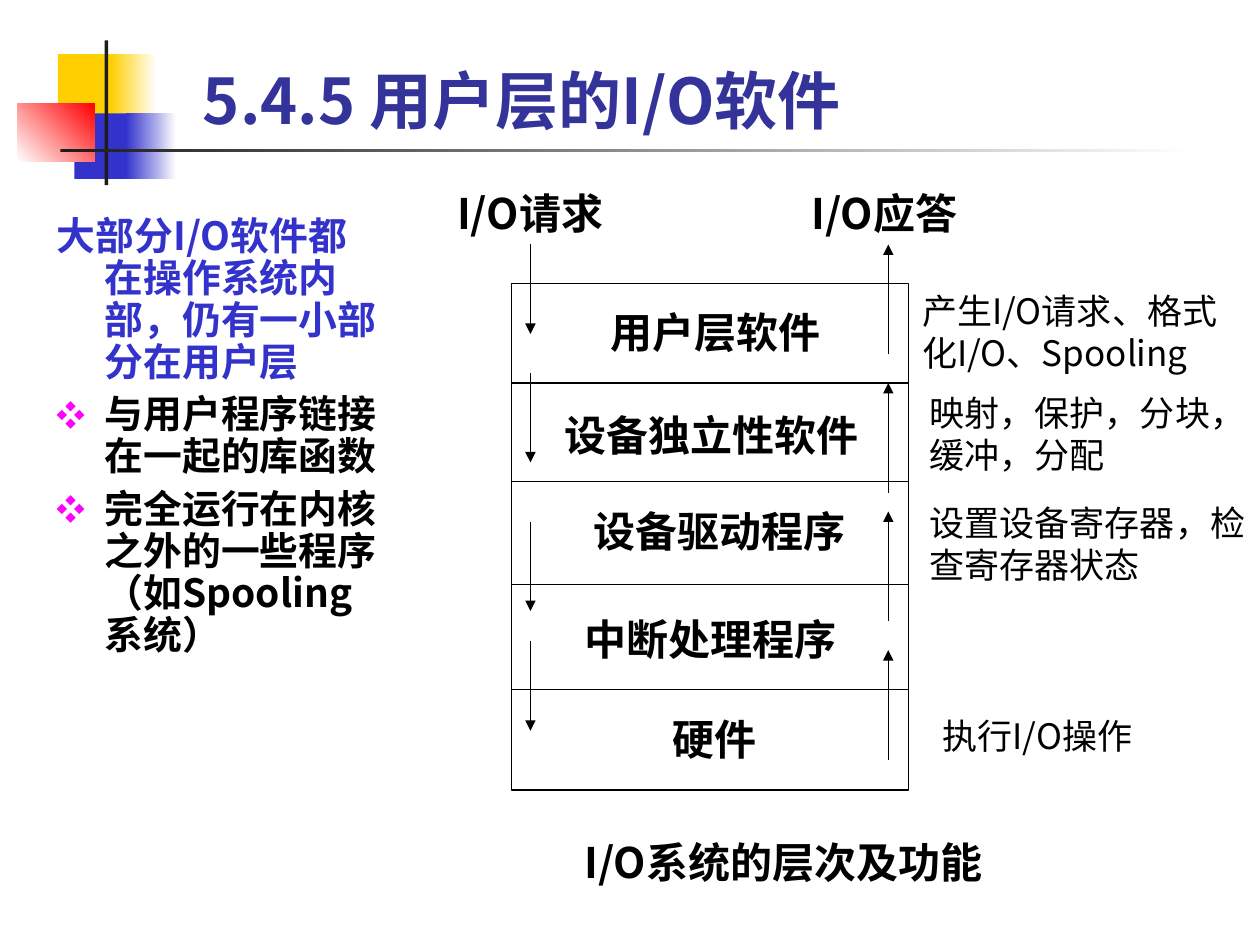
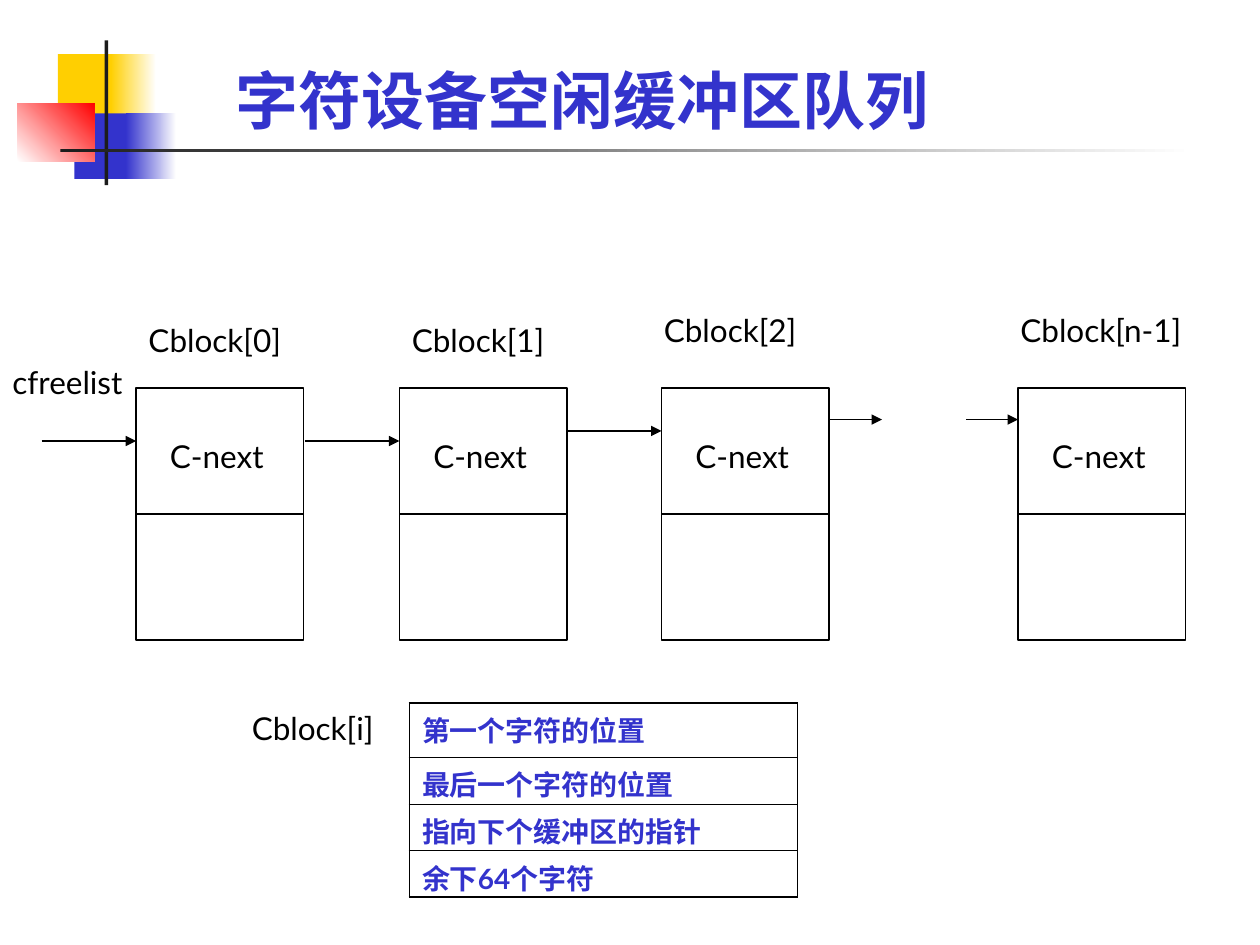
"""Build two slides on user-level I/O software and the character buffer free list."""
import pptx
import pptx.dml.color
import pptx.enum.shapes
import pptx.enum.text
import pptx.oxml
import pptx.oxml.ns
import pptx.util
from lxml import etree

Inches = pptx.util.Inches
Pt = pptx.util.Pt
qn = pptx.oxml.ns.qn
rgb = pptx.dml.color.RGBColor.from_string
SHAPES = pptx.enum.shapes.MSO_SHAPE
AUTO_SIZE = pptx.enum.text.MSO_AUTO_SIZE
CJK = "Noto Sans CJK SC"
LATIN = "Lato"
BLACK, WHITE, BLUE, TITLE_BLUE = "000000", "FFFFFF", "3333CC", "333399"
YELLOW, RED, DARK, MAGENTA = "FFCF01", "FF0000", "1C1C1C", "FF00FF"


def style(frame, size, font=CJK, color=BLACK, bold=False, wrap=False):
    """Give all paragraphs of a text frame one left-aligned style."""
    frame.word_wrap = wrap
    frame.auto_size = AUTO_SIZE.NONE if wrap else AUTO_SIZE.SHAPE_TO_FIT_TEXT
    for paragraph in frame.paragraphs:
        paragraph.alignment = pptx.enum.text.PP_ALIGN.LEFT
        paragraph.font.size = Pt(size)
        paragraph.font.bold = bold
        paragraph.font.color.rgb = rgb(color)
        paragraph.font.name = font
        properties = paragraph._p.pPr.find(qn("a:defRPr"))
        etree.SubElement(properties, qn("a:ea"), typeface=CJK)


def add_line(slide, x1, y1, x2, y2, arrow=False):
    """Draw a thin black line, with an arrowhead at its end if wanted."""
    line = slide.shapes.add_connector(
        pptx.enum.shapes.MSO_CONNECTOR.STRAIGHT,
        Inches(x1), Inches(y1), Inches(x2), Inches(y2))
    line.line.color.rgb = rgb(BLACK)
    line.line.width = Pt(0.75)
    properties = line._element.spPr
    if arrow:
        etree.SubElement(properties.find(qn("a:ln")), qn("a:tailEnd"), type="triangle")
    etree.SubElement(properties, qn("a:effectLst"))


presentation = pptx.Presentation()
presentation.slide_width = Inches(10)
presentation.slide_height = Inches(7.5)
layers_slide = presentation.slides.add_slide(presentation.slide_layouts[1])
queue_slide = presentation.slides.add_slide(presentation.slide_layouts[5])

ornaments = [
    (0.46, 0.43, 0.48, 0.52, YELLOW, None, 0),
    (0.88, 0.43, 0.36, 0.52, YELLOW, WHITE, 0),
    (0.59, 0.9, 0.46, 0.52, BLUE, None, 0),
    (1, 0.9, 0.4, 0.52, BLUE, WHITE, 0),
    (0.14, 0.82, 0.61, 0.46, WHITE, RED, 45),
    (0.83, 0.32, 0.03, 1.15, DARK, None, 0),
    (0.48, 1.18, 9, 0.03, DARK, WHITE, 0),
]
titles = [
    (layers_slide, "5.4.5 用户层的I/O软件", 1.51, 7.74, TITLE_BLUE),
    (queue_slide, "字符设备空闲缓冲区队列", 1.77, 5.74, BLUE),
]
for slide, text, title_left, title_width, color in titles:
    for left, top, width, height, start, end, angle in ornaments:
        shape = slide.shapes.add_shape(
            SHAPES.RECTANGLE, Inches(left), Inches(top), Inches(width), Inches(height))
        shape.shadow.inherit = False
        shape.line.fill.background()
        if end:
            shape.fill.gradient()
            shape.fill.gradient_angle = angle
            for stop, stop_color in zip(shape.fill.gradient_stops, (start, end)):
                stop.color.rgb = rgb(stop_color)
        else:
            shape.fill.solid()
            shape.fill.fore_color.rgb = rgb(start)
    title = slide.shapes.title
    title.left, title.top = Inches(title_left), Inches(0.36)
    title.width, title.height = Inches(title_width), Inches(0.78)
    title.text_frame.text = text
    title.text_frame.vertical_anchor = pptx.enum.text.MSO_ANCHOR.BOTTOM
    style(title.text_frame, 36, color=color, bold=True, wrap=True)

body = layers_slide.placeholders[1]
body.left, body.top = Inches(0.35), Inches(1.67)
body.width, body.height = Inches(2.76), Inches(5.31)
points = [
    "大部分I/O软件都在操作系统内部，仍有一小部分在用户层",
    "与用户程序链接在一起的库函数",
    "完全运行在内核之外的一些程序（如Spooling系统）",
]
body.text_frame.text = "\n".join(points)
for index, paragraph in enumerate(body.text_frame.paragraphs):
    properties = paragraph._p.get_or_add_pPr()
    properties.set("marL", str(Inches(0.38)))
    properties.set("indent", str(-Inches(0.38)))
    properties.set("hangingPunct", "0")
    paragraph.line_spacing = 0.9
    paragraph.space_before = Pt(6 if index else 0)
    if index:
        bullet_color = etree.SubElement(properties, qn("a:buClr"))
        etree.SubElement(bullet_color, qn("a:srgbClr"), val=MAGENTA)
        etree.SubElement(properties, qn("a:buSzPct"), val="75000")
        etree.SubElement(properties, qn("a:buFont"), typeface=CJK)
        etree.SubElement(properties, qn("a:buChar"), char="❖")
    else:
        etree.SubElement(properties, qn("a:buNone"))
style(body.text_frame, 22.2, bold=True, wrap=True)
body.text_frame.paragraphs[0].font.color.rgb = rgb(BLUE)

stack = layers_slide.shapes.add_shape(
    SHAPES.RECTANGLE, Inches(4.06), Inches(2.25), Inches(3.15), Inches(4.02))
stack.shadow.inherit = False
stack.fill.background()
stack.line.color.rgb = rgb(BLACK)
stack.line.width = Pt(0.75)
for y in (3.04, 3.82, 4.64, 5.47):
    add_line(layers_slide, 4.06, y, 7.21, y)
for y in (1.94, 2.96, 4.14, 5.09):
    add_line(layers_slide, 4.21, y, 4.21, y + 0.71, arrow=True)
for y in (6.03, 4.93, 3.91, 2.81):
    add_line(layers_slide, 7.05, y, 7.05, y - 0.87, arrow=True)

headings = [
    (4.75, 2.38, 1.9, "用户层软件", LATIN),
    (4.38, 3.2, 2.57, "设备独立性软件", LATIN),
    (4.61, 3.96, 2.24, "设备驱动程序", LATIN),
    (4.54, 4.82, 2.24, "中断处理程序", LATIN),
    (5.24, 5.61, 0.9, "硬件", LATIN),
    (3.53, 1.44, 1.5, "I/O请求", CJK),
    (6.34, 1.44, 1.5, "I/O应答", CJK),
    (4.54, 6.59, 3.5, "I/O系统的层次及功能", CJK),
]
for left, top, width, text, font in headings:
    box = layers_slide.shapes.add_textbox(
        Inches(left), Inches(top), Inches(width), Inches(0.5))
    box.text_frame.text = text
    style(box.text_frame, 24, font=font, bold=True)

layer_notes = [
    (7.22, 2.25, 2.71, "产生I/O请求、格式\n化I/O、Spooling"),
    (7.28, 3.06, 2.72, "映射，保护，分块，\n缓冲，分配"),
    (7.28, 3.93, 2.72, "设置设备寄存器，检\n查寄存器状态"),
    (7.38, 5.62, 1.88, "执行I/O操作"),
]
for left, top, width, text in layer_notes:
    line_count = text.count("\n") + 1
    box = layers_slide.shapes.add_textbox(
        Inches(left), Inches(top), Inches(width), Inches(0.11 + 0.33 * line_count))
    box.text_frame.text = text
    style(box.text_frame, 20)

block_labels = [("cfreelist", 0, 2.83, 1.25)]
blocks = [
    (1.08, "Cblock[0]", 1.08, 2.5),
    (3.17, "Cblock[1]", 3.17, 2.5),
    (5.25, "Cblock[2]", 5.17, 2.42),
    (8.08, "Cblock[n-1]", 8, 2.42),
]
for left, name, label_left, label_top in blocks:
    block = queue_slide.shapes.add_shape(
        SHAPES.FLOWCHART_PROCESS, Inches(left), Inches(3.08), Inches(1.33), Inches(2))
    block.shadow.inherit = False
    block.fill.solid()
    block.fill.fore_color.rgb = rgb(WHITE)
    block.line.color.rgb = rgb(BLACK)
    block.line.width = Pt(0.75)
    add_line(queue_slide, left, 4.08, left + 1.33, 4.08)
    block_labels.append(("C-next", left + 0.17, 3.42, 1.08))
    block_labels.append((name, label_left, label_top, 1.58))
block_labels.append(("Cblock[i]", 1.9, 5.58, 1.3))
for text, left, top, width in block_labels:
    box = queue_slide.shapes.add_textbox(
        Inches(left), Inches(top), Inches(width), Inches(0.4))
    box.text_frame.text = text
    style(box.text_frame, 18, font=LATIN, wrap=True)

links = [(0.33, 1.08, 3.5), (2.42, 3.17, 3.5), (4.5, 5.25, 3.42),
         (6.58, 7, 3.33), (7.67, 8.08, 3.33)]
for start, end, y in links:
    add_line(queue_slide, start, y, end, y, arrow=True)

fields = ["第一个字符的位置", "最后一个字符的位置", "指向下个缓冲区的指针", "余下64个字符"]
table = queue_slide.shapes.add_table(
    len(fields), 1, Inches(3.25), Inches(5.58), Inches(3.08), Inches(1.54)).table
table.first_row = False
table.horz_banding = False
for index, field in enumerate(fields):
    table.rows[index].height = Inches(0.37 if index else 0.43)
    cell = table.cell(index, 0)
    cell.margin_top = Inches(0.05)
    cell.margin_bottom = 0
    top_width = 0.45 if index else 1.08
    bottom_width = 1.08 if index == len(fields) - 1 else 0.45
    edges = [("a:lnL", 1.08), ("a:lnR", 1.08), ("a:lnT", top_width), ("a:lnB", bottom_width)]
    for edge, width in edges:
        border = etree.SubElement(cell._tc.get_or_add_tcPr(), qn(edge), w=str(Pt(width)))
        border_fill = etree.SubElement(border, qn("a:solidFill"))
        etree.SubElement(border_fill, qn("a:srgbClr"), val=BLACK)
    cell.fill.background()
    cell.text_frame.text = field
    style(cell.text_frame, 16, font=LATIN, color=BLUE, bold=True, wrap=True)

presentation.save("out.pptx")
